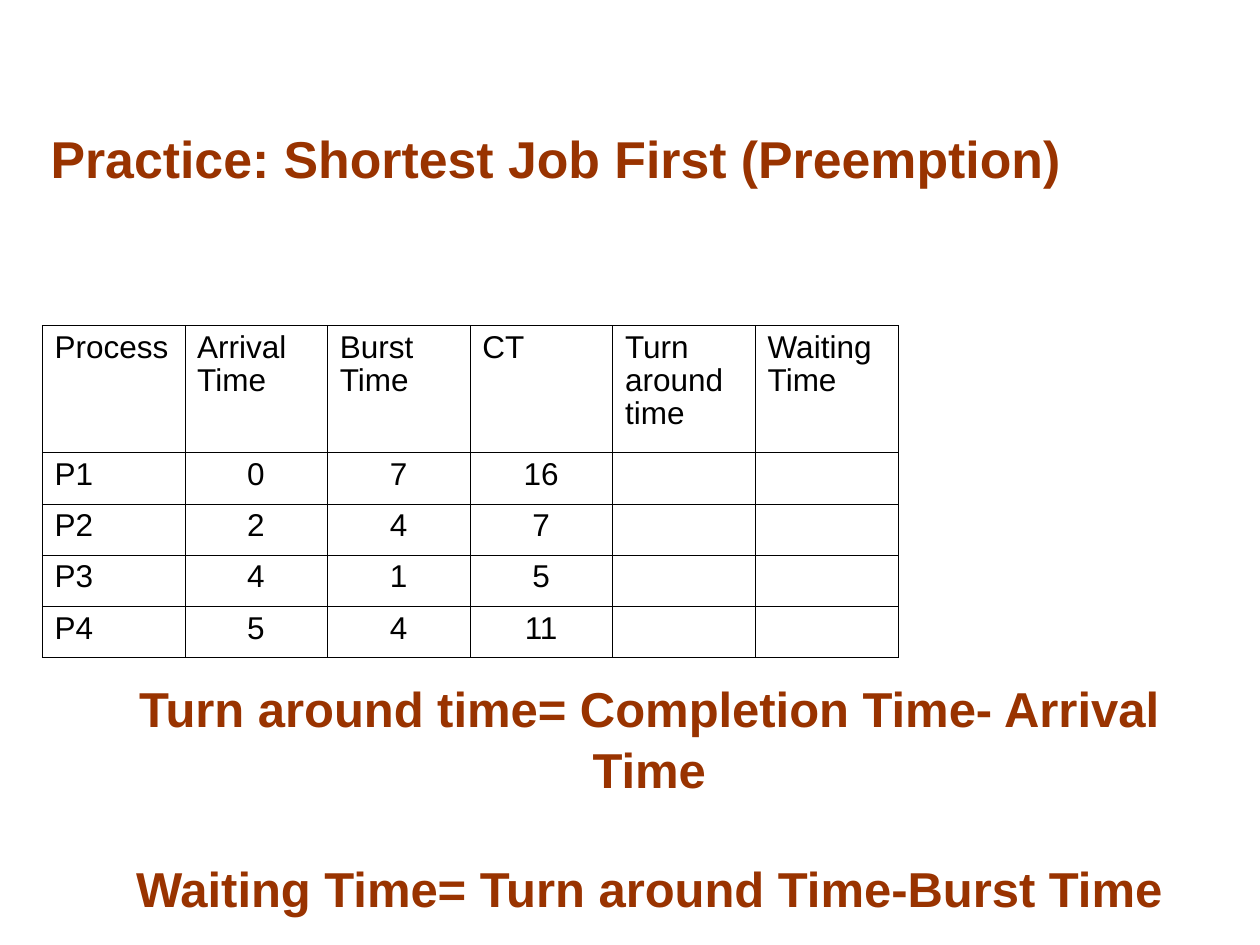
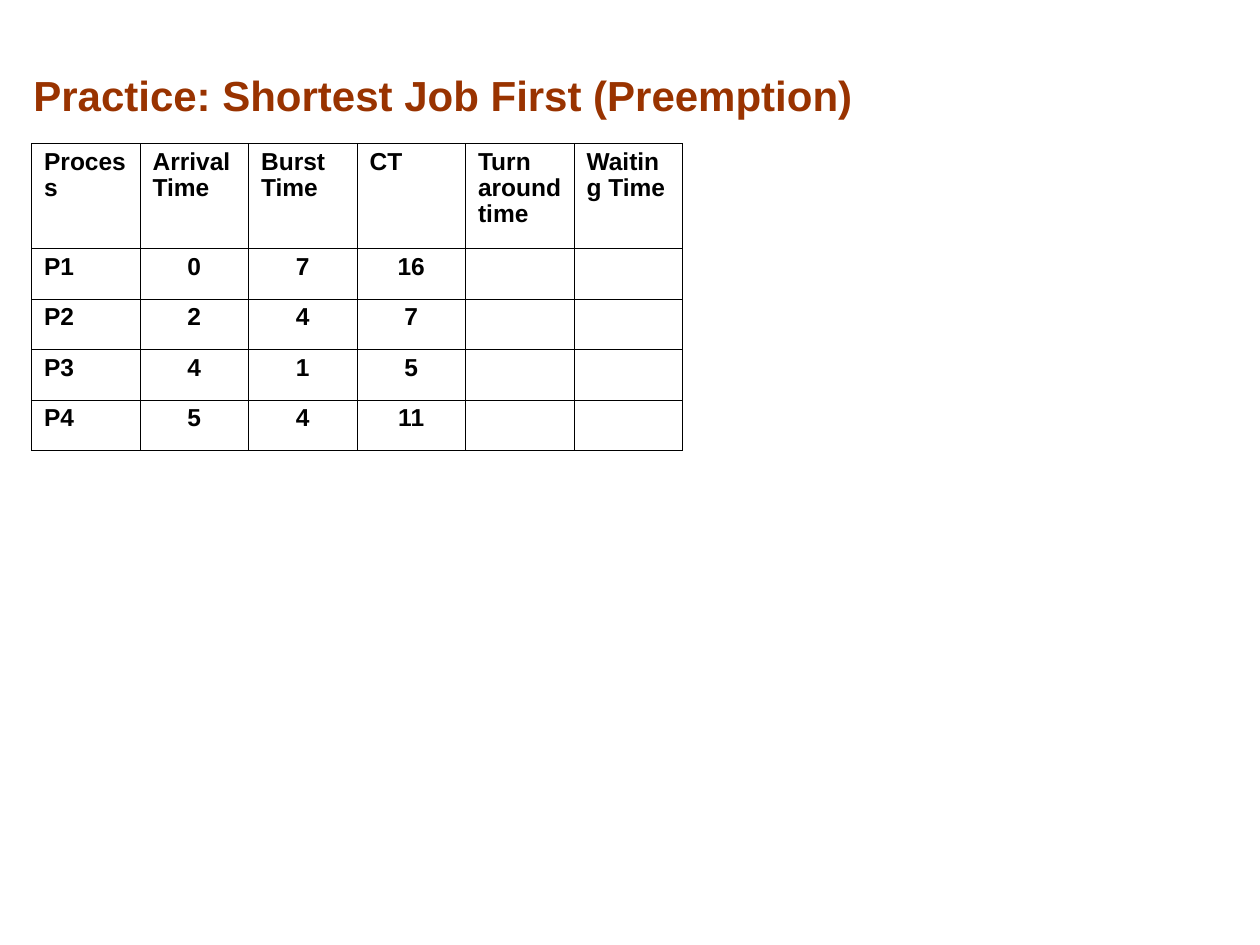
"""Builds two practice slides on preemptive shortest-job-first scheduling."""
from dataclasses import dataclass

from lxml import etree
from pptx import Presentation
from pptx.dml.color import RGBColor
from pptx.enum.text import MSO_ANCHOR, PP_ALIGN
from pptx.oxml.ns import qn
from pptx.util import Pt

LEFT, CENTER = PP_ALIGN.LEFT, PP_ALIGN.CENTER
BOTTOM = MSO_ANCHOR.BOTTOM
RUST = RGBColor(0x99, 0x33, 0x00)
BLACK = RGBColor(0x00, 0x00, 0x00)
FONT = "Arial"
BORDER = Pt(0.11)
BLANK_LAYOUT = 6

TITLE = "Practice: Shortest Job First (Preemption)"
FORMULAS = (
    "Turn around time= Completion Time- Arrival Time",
    "Waiting Time= Turn around Time-Burst Time",
)
SCHEDULE = (
    ("Process", "Arrival Time", "Burst Time", "CT", "Turn around time", "Waiting Time"),
    ("P1", "0", "7", "16", "", ""),
    ("P2", "2", "4", "7", "", ""),
    ("P3", "4", "1", "5", "", ""),
    ("P4", "5", "4", "11", "", ""),
)


@dataclass(frozen=True)
class Heading:
    """A bottom-anchored box of bold text, measured in points."""
    lines: tuple[str, ...]
    left: float
    top: float
    width: float
    height: float
    size: float
    align: PP_ALIGN = CENTER
    line_spacing: float = 1.0
    gap: float = 0


@dataclass(frozen=True)
class ScheduleTable:
    """Place and style of a process schedule, measured in points."""
    left: float
    top: float
    col_width: float
    header_height: float
    row_height: float
    size: float
    bold: bool


SLIDES = (
    (
        Heading((TITLE,), 12, 30, 612, 81.5, 29.6),
        ScheduleTable(24, 186, 81.5, 72.6, 29.3, 18, False),
        Heading(FORMULAS, 65, 371, 612, 157, 28, line_spacing=1.04, gap=33.4),
    ),
    (
        Heading((TITLE,), 12, 30, 612, 42, 24, LEFT),
        ScheduleTable(18, 82, 62, 60, 28.8, 14, True),
    ),
)


def add_run(p, text: str, size: float, color: RGBColor, bold: bool) -> None:
    """Add one styled run to a paragraph."""
    r = p.add_run()
    r.text = text
    r.font.name = FONT
    r.font.size = Pt(size)
    r.font.bold = bold
    r.font.color.rgb = color


def add_heading(s, heading: Heading) -> None:
    """Draw a heading with one paragraph per line."""
    sp = s.shapes.add_textbox(
        Pt(heading.left), Pt(heading.top), Pt(heading.width), Pt(heading.height))
    tf = sp.text_frame
    tf.word_wrap = True
    tf.vertical_anchor = BOTTOM
    for i, line in enumerate(heading.lines):
        p = tf.add_paragraph() if i else tf.paragraphs[0]
        p.alignment = heading.align
        p.line_spacing = heading.line_spacing
        if i:
            p.space_before = Pt(heading.gap)
        add_run(p, line, heading.size, RUST, True)


def add_borders(cell) -> None:
    """Give a cell thin black lines on all four sides."""
    props = cell._tc.get_or_add_tcPr()
    for i, side in enumerate(("a:lnL", "a:lnR", "a:lnT", "a:lnB")):
        line = etree.Element(qn(side), w=str(BORDER))
        fill = etree.SubElement(line, qn("a:solidFill"))
        etree.SubElement(fill, qn("a:srgbClr"), val=str(BLACK))
        props.insert(i, line)


def add_schedule(s, spec: ScheduleTable) -> None:
    """Draw the schedule as a plain bordered table."""
    rows, cols = len(SCHEDULE), len(SCHEDULE[0])
    height = spec.header_height + spec.row_height * (rows - 1)
    table = s.shapes.add_table(
        rows, cols, Pt(spec.left), Pt(spec.top),
        Pt(spec.col_width * cols), Pt(height)).table
    table.first_row = False
    table.horz_banding = False
    for column in table.columns:
        column.width = Pt(spec.col_width)
    for i, texts in enumerate(SCHEDULE):
        table.rows[i].height = Pt(spec.row_height if i else spec.header_height)
        for j, text in enumerate(texts):
            cell = table.cell(i, j)
            cell.fill.background()
            add_borders(cell)
            if text:
                p = cell.text_frame.paragraphs[0]
                p.alignment = CENTER if i and j else LEFT
                p.line_spacing = 0.94
                add_run(p, text, spec.size, BLACK, spec.bold)


def main() -> None:
    """Build and save the presentation."""
    prs = Presentation()
    prs.slide_width, prs.slide_height = Pt(720), Pt(540)
    for items in SLIDES:
        s = prs.slides.add_slide(prs.slide_layouts[BLANK_LAYOUT])
        for item in items:
            if isinstance(item, Heading):
                add_heading(s, item)
            else:
                add_schedule(s, item)
    prs.save("out.pptx")


if __name__ == "__main__":
    main()
